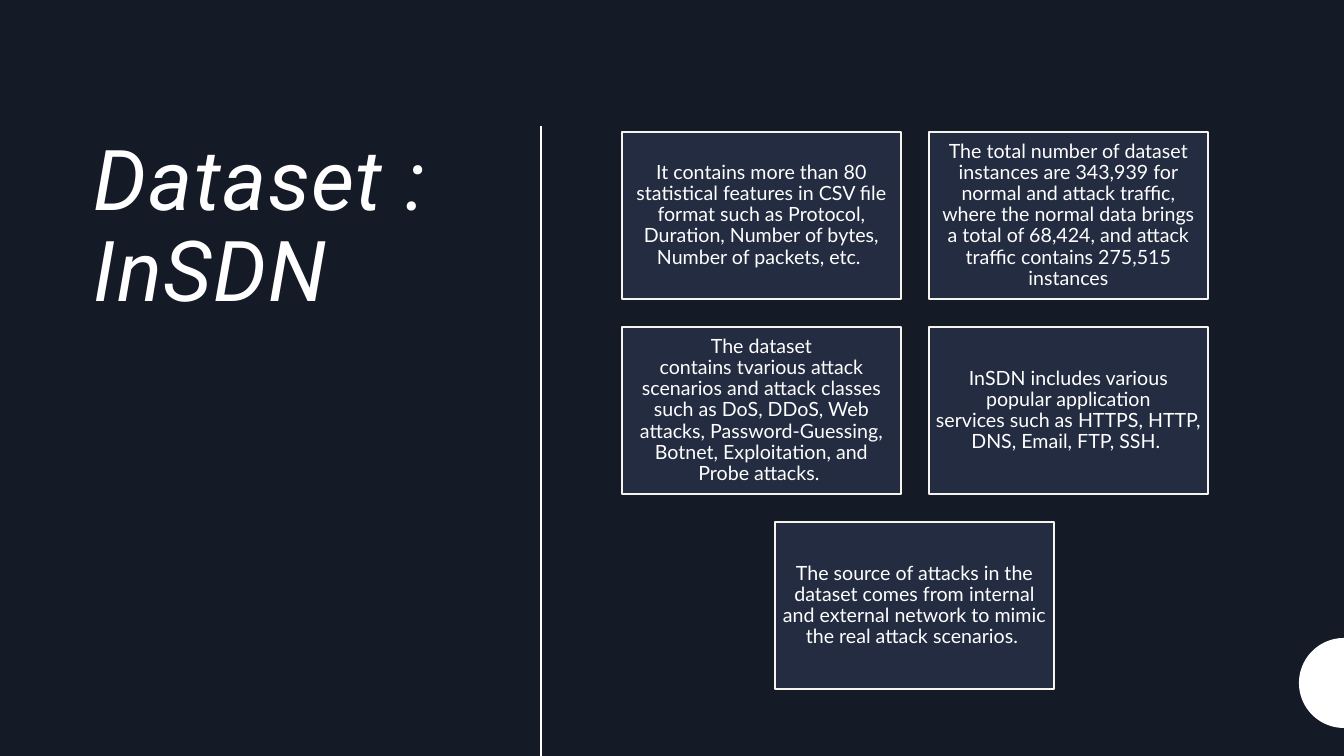
from dataclasses import dataclass
from math import cos, pi, sin

from lxml import etree
from pptx import Presentation
from pptx.dml.color import RGBColor
from pptx.enum.shapes import MSO_CONNECTOR, MSO_SHAPE
from pptx.enum.text import MSO_ANCHOR, PP_ALIGN
from pptx.oxml.ns import qn
from pptx.util import Pt

STRAIGHT = MSO_CONNECTOR.STRAIGHT
RECTANGLE = MSO_SHAPE.RECTANGLE
TOP, MIDDLE = MSO_ANCHOR.TOP, MSO_ANCHOR.MIDDLE
LEFT, CENTER = PP_ALIGN.LEFT, PP_ALIGN.CENTER

EMU_PER_PIXEL = 914400 / 100.8
SLIDE_WIDTH, SLIDE_HEIGHT = 1344, 756
CARD_WIDTH, CARD_HEIGHT = 279, 167
CARD_LEFT, CARD_TOP, CARD_GAP = 622, 132, 28
CARDS_PER_ROW = 2
CARD_TEXTS = [
    "It contains more than 80 statistical features in CSV file format such as "
    "Protocol, Duration, Number of bytes, Number of packets, etc. ",
    "The total number of dataset instances are 343,939 for normal and attack "
    "traffic, where the normal data brings a total of 68,424, and attack traffic "
    "contains 275,515 instances",
    "The dataset contains\u00a0tvarious\u00a0attack scenarios and\u00a0attack classes "
    "such as DoS, DDoS, Web attacks,\u00a0Password-Guessing, Botnet, Exploitation, "
    "and Probe\u00a0attacks.\u00a0",
    "InSDN\u00a0includes various popular application services\u00a0such as HTTPS, "
    "HTTP, DNS, Email, FTP, SSH.\u00a0",
    "The source\u00a0of attacks in the dataset comes from\u00a0internal and external "
    "network to mimic the real attack\u00a0scenarios.\u00a0",
]


@dataclass(frozen=True)
class Theme:
    """Colours, fonts and sizes of the slide."""
    background: RGBColor = RGBColor.from_string("151A27")
    card: RGBColor = RGBColor.from_string("232C41")
    border: RGBColor = RGBColor.from_string("F6F4EF")
    white: RGBColor = RGBColor.from_string("FFFFFF")
    title_font: str = "Roboto"
    body_font: str = "Lato"
    title_size: int = 60
    body_size: int = 14
    line_width: float = 1.5
    line_spacing: float = 0.9
    title_tracking: int = 100


def emu(pixels):
    """Turn pixels into EMU."""
    return round(pixels * EMU_PER_PIXEL)


def apply(target, values):
    """Set each named attribute of the target."""
    for name, value in values.items():
        setattr(target, name, value)


class SlideBuilder:
    """Holds the theme and the current slide."""

    def __init__(self, slide, theme):
        """Keep the slide and paint its background."""
        self.shapes, self.theme = slide.shapes, theme
        slide.background.fill.solid()
        slide.background.fill.fore_color.rgb = theme.background

    def add_text(self, shape, text, align, anchor, inset, font):
        """Put one formatted paragraph in a shape and return its run."""
        frame = shape.text_frame
        apply(frame, {"word_wrap": True, "vertical_anchor": anchor})
        apply(frame, {f"margin_{side}": emu(inset)
                      for side in ("left", "right")})
        apply(frame, {f"margin_{side}": emu(min(inset, 6))
                      for side in ("top", "bottom")})
        para = frame.paragraphs[0]
        apply(para, {"alignment": align, "line_spacing": self.theme.line_spacing})
        span = para.add_run()
        span.text = text
        apply(span.font, font)
        span.font.color.rgb = self.theme.white
        return span

    def title(self, text, left, top, width, height):
        """Add the slanted, letter-spaced title."""
        box = self.shapes.add_textbox(*map(emu, (left, top, width, height)))
        span = self.add_text(box, text, LEFT, TOP, 10, {
            "name": self.theme.title_font, "size": Pt(self.theme.title_size),
            "italic": True})
        span.font._element.set("spc", str(self.theme.title_tracking))

    def card(self, text, left, top):
        """Add an outlined card with centred text."""
        box = self.shapes.add_shape(
            RECTANGLE, *map(emu, (left, top, CARD_WIDTH, CARD_HEIGHT)))
        box.shadow.inherit = False
        box.fill.solid()
        box.fill.fore_color.rgb = self.theme.card
        box.line.color.rgb = self.theme.border
        box.line.width = Pt(self.theme.line_width)
        self.add_text(box, text, CENTER, MIDDLE, 6, {
            "name": self.theme.body_font, "size": Pt(self.theme.body_size)})

    def line(self, *ends):
        """Add a straight white line."""
        line = self.shapes.add_connector(STRAIGHT, *map(emu, ends))
        line.line.color.rgb = self.theme.white
        line.line.width = Pt(self.theme.line_width)
        etree.SubElement(line._element.spPr, qn("a:effectLst"))

    def left_half_disc(self, center_x, center_y, radius, steps=48):
        """Add the left half of a white disc."""
        angles = [pi / 2 + pi * step / steps for step in range(steps + 1)]
        points = [(emu(center_x + radius * cos(angle)),
                   emu(center_y + radius * sin(angle))) for angle in angles]
        outline = self.shapes.build_freeform(*points[0])
        outline.add_line_segments(points[1:], close=True)
        disc = outline.convert_to_shape()
        disc.shadow.inherit = False
        disc.fill.solid()
        disc.fill.fore_color.rgb = self.theme.white
        disc.line.fill.background()


def add_cards(builder):
    """Lay the cards out in rows, centring a short last row."""
    step_x, step_y = CARD_WIDTH + CARD_GAP, CARD_HEIGHT + CARD_GAP
    for start in range(0, len(CARD_TEXTS), CARDS_PER_ROW):
        row = CARD_TEXTS[start:start + CARDS_PER_ROW]
        indent = (CARDS_PER_ROW - len(row)) * step_x // 2
        top = CARD_TOP + start // CARDS_PER_ROW * step_y
        for column, text in enumerate(row):
            builder.card(text, CARD_LEFT + indent + column * step_x, top)


def main():
    """Build and save the deck."""
    deck = Presentation()
    deck.slide_width, deck.slide_height = emu(SLIDE_WIDTH), emu(SLIDE_HEIGHT)
    page = deck.slides.add_slide(deck.slide_layouts[6])
    builder = SlideBuilder(page, Theme())
    builder.title("Dataset : InSDN", 84, 132, 422, 476)
    builder.line(541, 126, 541, SLIDE_HEIGHT)
    builder.left_half_disc(SLIDE_WIDTH, 683, 45)
    add_cards(builder)
    deck.save("out.pptx")


main()
